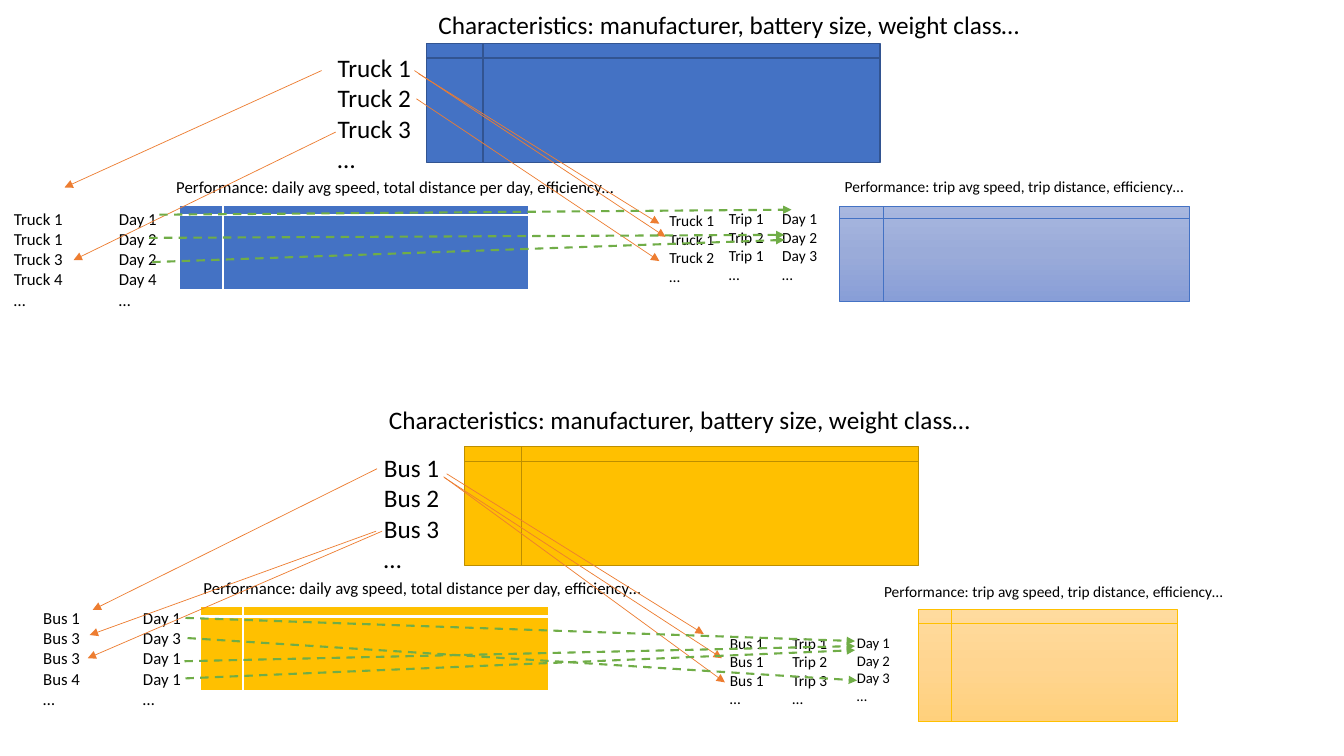
from copy import deepcopy
from typing import NamedTuple

from pptx import Presentation
from pptx.dml.color import RGBColor
from pptx.enum.dml import MSO_LINE
from pptx.enum.shapes import MSO_CONNECTOR, MSO_SHAPE
from pptx.enum.text import MSO_AUTO_SIZE
from pptx.oxml.ns import qn
from pptx.oxml.xmlchemy import OxmlElement
from pptx.shapes.autoshape import Shape
from pptx.shapes.shapetree import SlideShapes
from pptx.util import Inches, Pt

STORAGE = MSO_SHAPE.FLOWCHART_INTERNAL_STORAGE
STRAIGHT = MSO_CONNECTOR.STRAIGHT
DASH = MSO_LINE.DASH

BLACK = RGBColor(0x00, 0x00, 0x00)
WHITE = RGBColor(0xFF, 0xFF, 0xFF)
BLUE = RGBColor(0x44, 0x72, 0xC4)
DARK_BLUE = RGBColor(0x32, 0x54, 0x91)
GOLD = RGBColor(0xFF, 0xC0, 0x00)
DARK_GOLD = RGBColor(0xBD, 0x8E, 0x00)
ORANGE = RGBColor(0xED, 0x7D, 0x31)
GREEN = RGBColor(0x70, 0xAD, 0x47)
PALE_BLUES = (RGBColor(0xA8, 0xB7, 0xDF), RGBColor(0x9A, 0xAB, 0xD9), RGBColor(0x88, 0x9E, 0xD7))
PALE_GOLDS = (RGBColor(0xFF, 0xDB, 0x9E), RGBColor(0xFF, 0xD5, 0x90), RGBColor(0xFF, 0xD0, 0x7C))

FRAME_FORMAT = {"word_wrap": True, "auto_size": MSO_AUTO_SIZE.SHAPE_TO_FIT_TEXT}
CHARACTERISTICS = "Characteristics: manufacturer, battery size, weight class…"
DAILY = "Performance: daily avg speed, total distance per day, efficiency…"
TRIPS = "Performance: trip avg speed, trip distance, efficiency…"


class DataTable(NamedTuple):
    left: float
    top: float
    width: float
    height: float
    fill: tuple[RGBColor, ...]
    outline: RGBColor
    outline_pt: float


class Label(NamedTuple):
    left: float
    top: float
    width: float
    height: float
    size: float
    lines: tuple[str, ...]


class Link(NamedTuple):
    x1: float
    y1: float
    x2: float
    y2: float


DATA_TABLES = (
    DataTable(4.23, 0.43, 4.5, 1.18, (BLUE,), DARK_BLUE, 1),
    DataTable(4.61, 4.43, 4.5, 1.18, (GOLD,), DARK_GOLD, 1),
    DataTable(1.78, 2.03, 3.47, 0.85, (BLUE,), WHITE, 1.5),
    DataTable(1.98, 6.01, 3.47, 0.85, (GOLD,), WHITE, 1.5),
    DataTable(8.33, 2.05, 3.47, 0.94, PALE_BLUES, BLUE, 0.5),
    DataTable(9.11, 6.05, 2.57, 1.11, PALE_GOLDS, GOLD, 0.5),
)

LABELS = (
    # Trucks
    Label(4.25, 0.04, 8.04, 0.4, 18, (CHARACTERISTICS,)),
    Label(3.25, 0.47, 1.03, 1.31, 18, ("Truck 1", "Truck 2", "Truck 3", "…")),
    Label(1.65, 1.7, 6.2, 0.3, 12, (DAILY,)),
    Label(0.04, 2.02, 0.8, 1.11, 12, ("Truck 1", "Truck 1", "Truck 3", "Truck 4", "…")),
    Label(1.08, 2.02, 0.8, 1.11, 12, ("Day 1", "Day 2", "Day 2", "Day 4", "…")),
    Label(8.28, 1.71, 6.2, 0.29, 11, (TRIPS,)),
    Label(6.54, 2.05, 0.8, 0.84, 11, ("Truck 1", "Truck 1", "Truck 2", "…")),
    Label(7.13, 2.03, 0.8, 0.84, 11, ("Trip 1", "Trip 2", "Trip 1", "…")),
    Label(7.66, 2.03, 1.03, 0.84, 11, ("Day 1", "Day 2", "Day 3", "…")),
    # Buses
    Label(3.76, 3.96, 8.04, 0.4, 18, (CHARACTERISTICS,)),
    Label(3.71, 4.44, 1.03, 1.31, 18, ("Bus 1", "Bus 2", "Bus 3", "…")),
    Label(1.92, 5.68, 6.2, 0.3, 12, (DAILY,)),
    Label(0.33, 5.98, 0.8, 1.11, 12, ("Bus 1", "Bus 3", "Bus 3", "Bus 4", "…")),
    Label(1.32, 5.98, 0.8, 1.11, 12, ("Day 1", "Day 3", "Day 1", "Day 1", "…")),
    Label(8.67, 5.73, 4.59, 0.29, 11, (TRIPS,)),
    Label(7.14, 6.24, 0.59, 0.85, 11, ("Bus 1", "Bus 1", "Bus 1", "…")),
    Label(7.76, 6.24, 0.59, 0.85, 11, ("Trip 1", "Trip 2", "Trip 3", "…")),
    Label(8.4, 6.24, 1.03, 0.81, 10.5, ("Day 1", "Day 2", "Day 3", "…")),
)

VEHICLE_LINKS = (
    Link(3.19, 0.7, 0.64, 1.86),
    Link(4.15, 0.73, 6.54, 2.22),
    Link(4.13, 0.98, 6.54, 2.59),
    Link(3.33, 1.31, 0.73, 2.58),
    Link(4.11, 0.7, 6.6, 2.35),
    Link(3.74, 4.65, 0.92, 6.05),
    Link(4.43, 4.7, 6.98, 6.29),
    Link(4.41, 4.74, 7.16, 6.53),
    Link(4.4, 4.73, 7.19, 6.77),
    Link(3.73, 5.27, 0.89, 6.3),
    Link(3.79, 5.27, 0.87, 6.53),
)

DAY_LINKS = (
    Link(1.58, 2.13, 7.85, 2.08),
    Link(1.48, 2.36, 7.78, 2.33),
    Link(1.51, 2.6, 7.78, 2.38),
    Link(1.84, 6.13, 8.48, 6.36),
    Link(1.83, 6.56, 8.48, 6.41),
    Link(1.84, 6.73, 8.48, 6.45),
    Link(1.86, 6.33, 8.5, 6.75),
)


def fill_gradient(shape: Shape, colors: tuple[RGBColor, ...]) -> None:
    """Fill from top to bottom with three evenly spaced colours."""
    shape.fill.gradient()
    shape.fill.gradient_angle = 270
    stop_list = shape._element.spPr.find(".//" + qn("a:gsLst"))
    stop_list.insert(1, deepcopy(stop_list[0]))
    for index, (stop, color) in enumerate(zip(shape.fill.gradient_stops, colors)):
        stop.position = index / 2
        stop.color.rgb = color


def add_data_table(shapes: SlideShapes, table: DataTable) -> None:
    shape = shapes.add_shape(STORAGE, *map(Inches, table[:4]))
    shape.shadow.inherit = False
    if len(table.fill) == 1:
        shape.fill.solid()
        shape.fill.fore_color.rgb = table.fill[0]
    else:
        fill_gradient(shape, table.fill)
    shape.line.color.rgb = table.outline
    shape.line.width = Pt(table.outline_pt)


def add_label(shapes: SlideShapes, label: Label) -> None:
    frame = shapes.add_textbox(*map(Inches, label[:4])).text_frame
    for attribute, value in FRAME_FORMAT.items():
        setattr(frame, attribute, value)
    frame.text = "\n".join(label.lines)
    font_format = {"name": "Calibri", "size": Pt(label.size)}
    for paragraph in frame.paragraphs:
        font = paragraph.runs[0].font
        for attribute, value in font_format.items():
            setattr(font, attribute, value)
        font.color.rgb = BLACK


def add_link(shapes: SlideShapes, link: Link, color: RGBColor, line_format: dict) -> None:
    connector = shapes.add_connector(STRAIGHT, *map(Inches, link))
    line = connector.line
    line.color.rgb = color
    for attribute, value in line_format.items():
        setattr(line, attribute, value)
    arrowhead = OxmlElement("a:tailEnd")
    arrowhead.set("type", "triangle")
    line._get_or_add_ln().append(arrowhead)
    connector._element.spPr.append(OxmlElement("a:effectLst"))


def main() -> None:
    presentation = Presentation()
    presentation.slide_width = Inches(13.33)
    presentation.slide_height = Inches(7.5)
    shapes = presentation.slides.add_slide(presentation.slide_layouts[6]).shapes
    for table in DATA_TABLES:
        add_data_table(shapes, table)
    for label in LABELS:
        add_label(shapes, label)
    for link in VEHICLE_LINKS:
        add_link(shapes, link, ORANGE, {"width": Pt(0.5)})
    for link in DAY_LINKS:
        add_link(shapes, link, GREEN, {"width": Pt(1.5), "dash_style": DASH})
    presentation.save("out.pptx")


if __name__ == "__main__":
    main()
